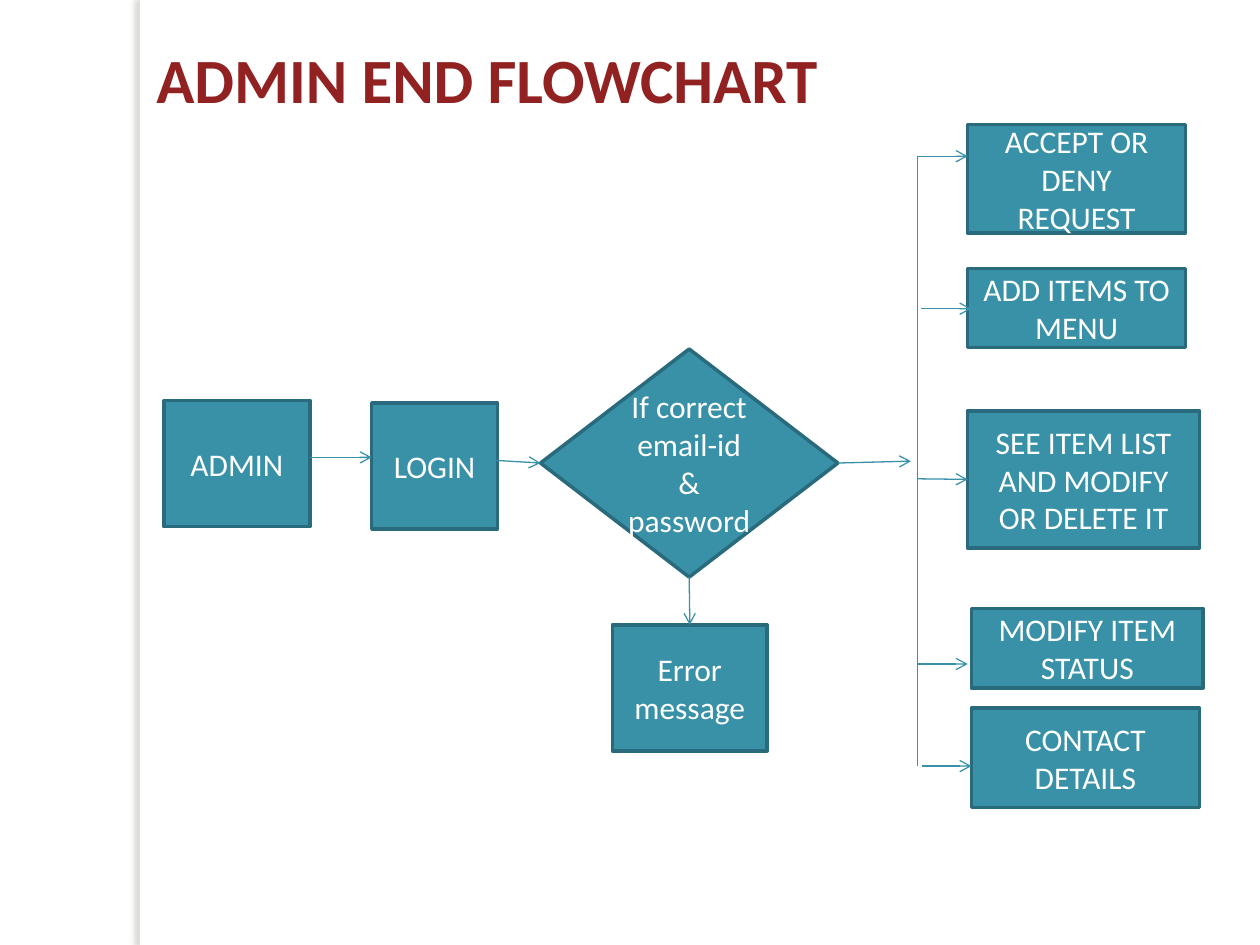
from lxml import etree
from pptx import Presentation
from pptx.dml.color import RGBColor
from pptx.enum.shapes import MSO_CONNECTOR, MSO_SHAPE
from pptx.enum.text import MSO_ANCHOR, MSO_AUTO_SIZE, PP_ALIGN
from pptx.oxml.ns import qn
from pptx.util import Inches, Pt

COLORS = {"node": "3891A7", "edge": "296B7C", "title": "922222",
          "white": "FFFFFF", "shadow": "736F63"}
FONT = "Calibri"
TOP, LEFT, BOTTOM, RIGHT = range(4)

STEPS = {
    "admin": ("ADMIN", (1.3, 3.18, 1.16, 1)),
    "login": ("LOGIN", (2.95, 3.2, 1, 1)),
    "error": ("Error message", (4.86, 4.96, 1.23, 1)),
}
# Text, box, and the start and end of the arrow that leads to the box
ACTIONS = [
    ("ACCEPT OR DENY REQUEST", (7.68, 0.99, 1.73, 0.86), (7.28, 1.24), (7.68, 1.24)),
    ("ADD ITEMS TO MENU", (7.68, 2.13, 1.73, 0.63), (7.31, 2.45), (7.71, 2.45)),
    ("SEE ITEM LIST AND MODIFY OR DELETE IT", (7.68, 3.26, 1.84, 1.09),
     (7.28, 3.8), (7.68, 3.8)),
    ("MODIFY ITEM STATUS", (7.71, 4.83, 1.84, 0.63), (7.28, 5.27), (7.68, 5.27)),
    ("CONTACT DETAILS", (7.71, 5.62, 1.81, 0.79), (7.32, 6.08), (7.71, 6.08)),
]


def rgb(name):
    return RGBColor.from_string(COLORS[name])


def style_text(para, size, color, bold=False):
    for span in para.runs:
        span.font.name = FONT
        span.font.size = Pt(size)
        span.font.bold = bold
        span.font.color.rgb = rgb(color)


def add_node(page, text, box, kind=MSO_SHAPE.RECTANGLE):
    node = page.shapes.add_shape(kind, *map(Inches, box))
    node.shadow.inherit = False
    node.fill.solid()
    node.fill.fore_color.rgb = rgb("node")
    node.line.color.rgb = rgb("edge")
    node.line.width = Pt(2)
    frame = node.text_frame
    frame.word_wrap = True
    frame.vertical_anchor = MSO_ANCHOR.MIDDLE
    frame.text = text
    frame.paragraphs[0].alignment = PP_ALIGN.CENTER
    style_text(frame.paragraphs[0], 18, "white")
    return node


def add_link(page, start, end, arrow=True):
    link = page.shapes.add_connector(MSO_CONNECTOR.STRAIGHT, *map(Inches, start + end))
    link.line.color.rgb = rgb("node")
    link.line.width = Pt(0.75)
    if arrow:
        etree.SubElement(link.line._get_or_add_ln(), qn("a:tailEnd"), type="arrow")
    etree.SubElement(link._element.spPr, qn("a:effectLst"))
    return link


def add_side_band(page, box):
    """White strip whose soft shadow falls to the left."""
    band = page.shapes.add_shape(MSO_SHAPE.RECTANGLE, *map(Inches, box))
    band.fill.solid()
    band.fill.fore_color.rgb = rgb("white")
    band.line.fill.background()
    effects = etree.SubElement(band._element.spPr, qn("a:effectLst"))
    shadow = etree.SubElement(effects, qn("a:outerShdw"), blurRad=str(Pt(3)),
                              dist=str(Pt(3)), dir="10800000", algn="tl",
                              rotWithShape="0")
    tint = etree.SubElement(shadow, qn("a:srgbClr"), val=COLORS["shadow"])
    etree.SubElement(tint, qn("a:alpha"), val="25000")


def place_title(page, box):
    title = page.shapes.title
    title.left, title.top, title.width, title.height = map(Inches, box)
    frame = title.text_frame
    frame.text = "ADMIN END FLOWCHART"
    frame.word_wrap = True
    frame.auto_size = MSO_AUTO_SIZE.SHAPE_TO_FIT_TEXT
    frame.vertical_anchor = MSO_ANCHOR.TOP
    frame.paragraphs[0].alignment = PP_ALIGN.LEFT
    style_text(frame.paragraphs[0], 36, "title", bold=True)


def add_login_flow(page):
    nodes = {name: add_node(page, *step) for name, step in STEPS.items()}
    check = add_node(page, "If correct email-id & password",
                     (4.29, 2.77, 2.36, 1.81), MSO_SHAPE.DIAMOND)
    add_link(page, (2.46, 3.63), (2.95, 3.63))
    add_link(page, (3.87, 3.65), (4.29, 3.68)).end_connect(check, LEFT)
    add_link(page, (6.65, 3.68), (7.23, 3.66)).begin_connect(check, RIGHT)
    to_error = add_link(page, (5.47, 4.58), (5.47, 4.96))
    to_error.begin_connect(check, BOTTOM)
    to_error.end_connect(nodes["error"], TOP)


def add_action_list(page):
    """Boxes on the right, fed by arrows from one vertical line."""
    for text, box, start, end in ACTIONS:
        node = add_node(page, text, box)
        link = add_link(page, start, end)
        left, top, _, height = box
        if end[0] == left and abs(end[1] - top - height / 2) < 0.01:
            link.end_connect(node, LEFT)
    add_link(page, (7.28, 1.24), (7.28, 6.08), arrow=False)


def main():
    deck = Presentation()
    deck.slide_width, deck.slide_height = Inches(10), Inches(7.5)
    page = deck.slides.add_slide(deck.slide_layouts[5])
    add_side_band(page, (1.11, 0, 0.08, 7.5))
    add_login_flow(page)
    add_action_list(page)
    place_title(page, (1.14, 0.27, 6.9, 0.71))
    deck.save("out.pptx")


if __name__ == "__main__":
    main()
